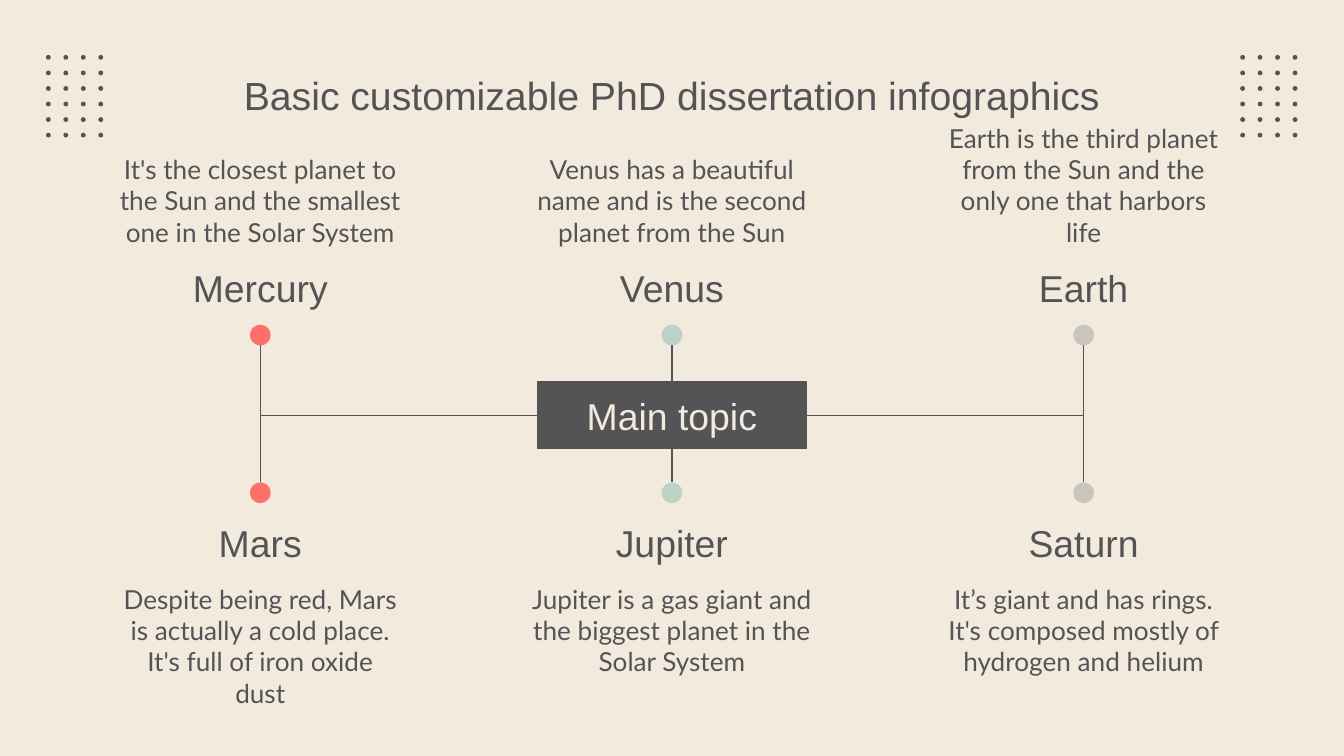
from lxml.etree import SubElement
from pptx import Presentation
from pptx.dml.color import RGBColor
from pptx.enum.shapes import MSO_CONNECTOR, MSO_SHAPE
from pptx.enum.text import MSO_ANCHOR, MSO_AUTO_SIZE, PP_ALIGN
from pptx.oxml.ns import qn
from pptx.util import Cm, Pt

DARK, CREAM = "545457", "F2EADD"


def rgb(value):
    """Turn a hex string into a colour."""
    return RGBColor.from_string(value)


class Infographic:
    """Holds the slide and its style, and draws each kind of element."""

    head_font, body_font = "Arial", "Lato"
    inset = 0.25

    def __init__(self, prs):
        """Add a title slide with a plain background."""
        self.s = prs.slides.add_slide(prs.slide_layouts[5])
        self.s.background.fill.solid()
        self.s.background.fill.fore_color.rgb = rgb(CREAM)

    def add_run(self, sp, text, size, font, color=DARK, anchor=MSO_ANCHOR.MIDDLE):
        """Put one centred run into a shape."""
        tf = sp.text_frame
        tf.word_wrap = True
        tf.auto_size = MSO_AUTO_SIZE.NONE
        tf.vertical_anchor = anchor
        tf.margin_left = tf.margin_right = Cm(self.inset)
        tf.margin_top = tf.margin_bottom = Cm(self.inset)
        p = tf.paragraphs[0]
        p.alignment = PP_ALIGN.CENTER
        r = p.add_run()
        r.text = text
        r.font.size, r.font.name = Pt(size), font
        r.font.color.rgb = rgb(color)

    def title(self, text, x, y, w, h):
        """Move and fill the title placeholder."""
        sp = self.s.shapes.title
        sp.left, sp.top, sp.width, sp.height = Cm(x), Cm(y), Cm(w), Cm(h)
        self.add_run(sp, text, 21, self.head_font)
        sp.text_frame.margin_top = Cm(0.18)

    def text(self, text, x, y, w, h, size, font, anchor=MSO_ANCHOR.MIDDLE):
        """Add a text box."""
        sp = self.s.shapes.add_textbox(Cm(x), Cm(y), Cm(w), Cm(h))
        self.add_run(sp, text, size, font, anchor=anchor)

    def shape(self, kind, x, y, w, h, color, shapes=None):
        """Add a filled shape without outline."""
        shapes = self.s.shapes if shapes is None else shapes
        sp = shapes.add_shape(kind, Cm(x), Cm(y), Cm(w), Cm(h))
        sp.shadow.inherit = False
        sp.fill.solid()
        sp.fill.fore_color.rgb = rgb(color)
        sp.line.fill.background()
        return sp

    def topic(self, text, x, y, w, h):
        """Add the central box."""
        sp = self.shape(MSO_SHAPE.RECTANGLE, x, y, w, h, DARK)
        sp.line.color.rgb, sp.line.width = rgb(DARK), Pt(0.75)
        self.add_run(sp, text, 20, self.head_font, CREAM)

    def dot_grid(self, x, y, cols=4, rows=6):
        """Add a grouped grid of small dots."""
        group = self.s.shapes.add_group_shape()
        for i in range(cols * rows):
            row, col = divmod(i, cols)
            self.shape(MSO_SHAPE.OVAL, x + col * 0.33, y + row * 1.47 / 5,
                       0.09, 0.09, DARK, group.shapes)

    def connector(self, x1, y1, x2, y2):
        """Add a straight line, or a one-bend elbow if both axes change."""
        elbow = x1 != x2
        kind = MSO_CONNECTOR.ELBOW if elbow else MSO_CONNECTOR.STRAIGHT
        cx = self.s.shapes.add_connector(kind, Cm(x1), Cm(y1), Cm(x2), Cm(y2))
        cx.line.color.rgb, cx.line.width = rgb(DARK), Pt(0.75)
        sp_pr = cx._element.spPr
        SubElement(sp_pr, qn("a:effectLst"))
        if elbow:
            sp_pr.find(qn("a:prstGeom")).set("prst", "bentConnector2")
            if y2 < y1:  # a half turn replaces the vertical flip
                xfrm = sp_pr.find(qn("a:xfrm"))
                xfrm.set("rot", "10800000")
                xfrm.set("flipV", "0")
                xfrm.set("flipH", "1" if x2 > x1 else "0")


PLANETS = [
    ("FF706B",
     ("Mercury", "It's the closest planet to the Sun and the smallest one in the Solar System"),
     ("Mars", "Despite being red, Mars is actually a cold place. It's full of iron oxide dust")),
    ("BBD3C7",
     ("Venus", "Venus has a beautiful name and is the second planet from the Sun"),
     ("Jupiter", "Jupiter is a gas giant and the biggest planet in the Solar System")),
    ("CAC5BC",
     ("Earth", "Earth is the third planet from the Sun and the only one that harbors life"),
     ("Saturn", "It’s giant and has rings. It's composed mostly of hydrogen and helium")),
]
MID_X, MID_Y, STEP = 12.7, 7.85, 7.78
BOX_W, BOX_H, TEXT_W, DOT = 5.08, 1.27, 5.84, 0.39
# name top, description top, description anchor, dot top, line end, direction
ROWS = [(4.93, 2.9, MSO_ANCHOR.BOTTOM, 6.14, 6.53, -1),
        (9.75, 10.77, MSO_ANCHOR.TOP, 9.12, 9.12, 1)]


def main():
    """Build and save the slide."""
    prs = Presentation()
    prs.slide_width, prs.slide_height = Cm(25.4), Cm(14.29)
    info = Infographic(prs)
    for x in (0.87, 23.44):
        info.dot_grid(x, 1.04)
    info.title("Basic customizable PhD dissertation infographics", 2, 1.02, 21.4, 1.6)
    for side, (color, *planets) in zip((-1, 0, 1), PLANETS):
        x = MID_X + side * STEP
        left = x - TEXT_W / 2
        for (name, fact), row in zip(planets, ROWS):
            name_y, fact_y, anchor, dot_y, end_y, way = row
            info.text(name, left, name_y, TEXT_W, 1.02, 20, info.head_font)
            info.text(fact, left, fact_y, TEXT_W, 2.03, 14, info.body_font, anchor)
            info.shape(MSO_SHAPE.OVAL, x - DOT / 2, dot_y, DOT, DOT, color)
            start_y = MID_Y if side else MID_Y + way * BOX_H / 2
            info.connector(MID_X + side * BOX_W / 2, start_y, x, end_y)
    info.topic("Main topic", MID_X - BOX_W / 2, MID_Y - BOX_H / 2, BOX_W, BOX_H)
    prs.save("out.pptx")


main()
